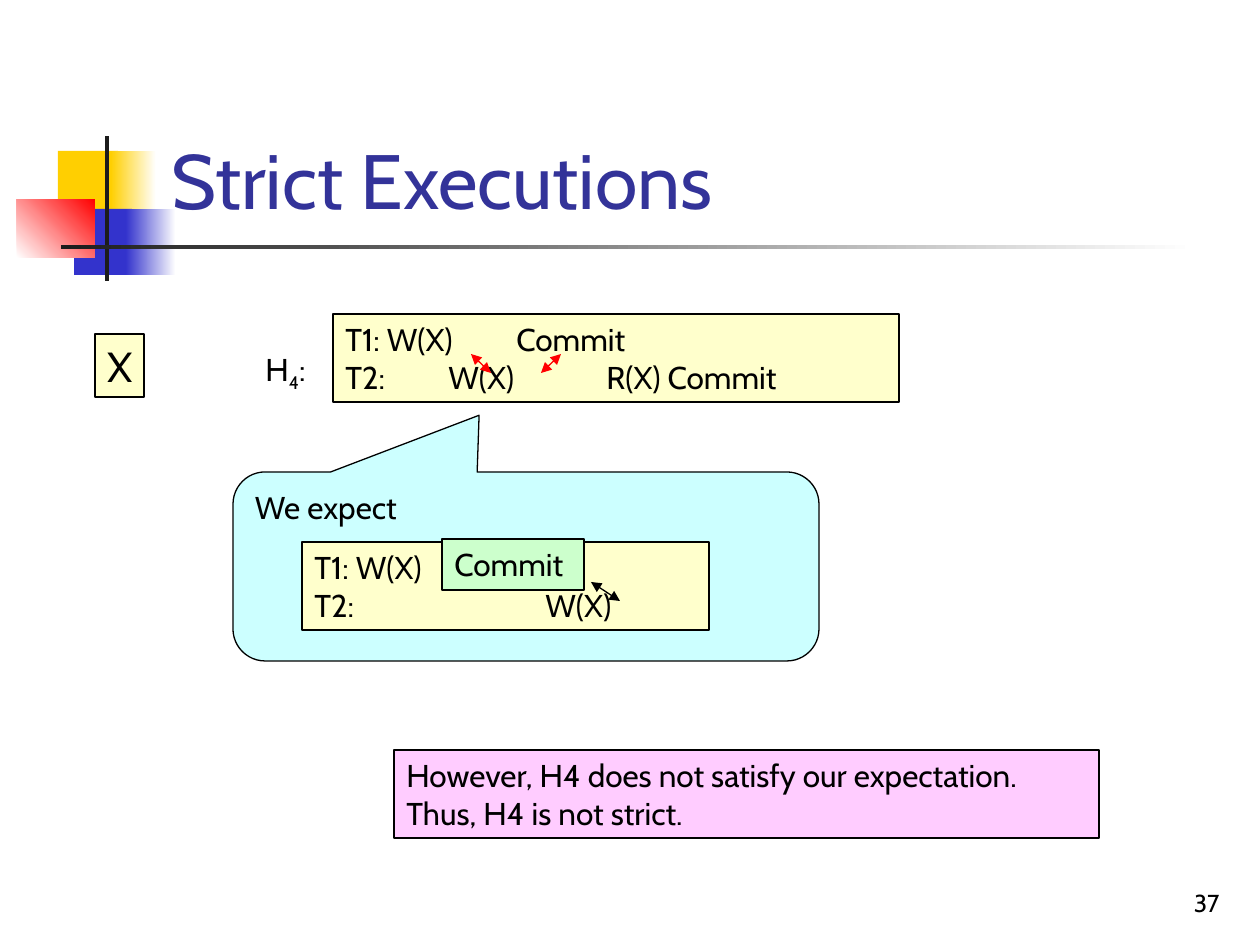
import pptx
import pptx.util
import pptx.dml.color
import pptx.enum.shapes
import pptx.enum.text
import pptx.oxml.ns
import lxml.etree

SHAPE = pptx.enum.shapes.MSO_SHAPE
ANCHOR = pptx.enum.text.MSO_ANCHOR
ALIGN = pptx.enum.text.PP_ALIGN
FONT = "Cabin"
BLACK, WHITE, RED = "000000", "FFFFFF", "FF0000"
GOLD, BLUE, DARK = "FFCF01", "3333CC", "1C1C1C"
CREAM, CYAN, GREEN, PINK = "FFFFCC", "CCFFFF", "CCFFCC", "FFCCFF"


def px(n):
    """Turn pixels (126 to the inch) into EMU."""
    return round(n * 914400 / 126)


def rgb(code):
    return pptx.dml.color.RGBColor.from_string(code)


def sub(parent, tag, **attrs):
    return lxml.etree.SubElement(parent, pptx.oxml.ns.qn(tag), **attrs)


def shape(slide, place, fill, line=None, kind=SHAPE.RECTANGLE):
    item = slide.shapes.add_shape(kind, *map(px, place))
    item.shadow.inherit = False
    item.fill.solid()
    item.fill.fore_color.rgb = rgb(fill)
    if line:
        item.line.color.rgb = rgb(line)
        item.line.width = pptx.util.Pt(0.75)
    else:
        item.line.fill.background()
    return item


def fade(slide, place, start, end, angle=0):
    item = shape(slide, place, start)
    item.fill.gradient()
    item.fill.gradient_angle = angle
    for stop, code, spot in zip(item.fill.gradient_stops, (start, end), (0, 1)):
        stop.color.rgb = rgb(code)
        stop.position = spot


def write(item, lines, size=18, color=BLACK, anchor=ANCHOR.TOP,
          align=ALIGN.LEFT, tabs=(), wrap=True):
    """Each line is a list of runs; a run is (text, baseline in percent)."""
    frame = item.text_frame
    frame.word_wrap = wrap
    frame.vertical_anchor = anchor
    for i, runs in enumerate(lines):
        para = frame.add_paragraph() if i else frame.paragraphs[0]
        para.alignment = align
        if tabs:
            stops = sub(para._p.get_or_add_pPr(), "a:tabLst")
            for spot in tabs[i]:
                sub(stops, "a:tab", pos=str(px(spot)), algn="l")
        for text, base in runs:
            run = para.add_run()
            run.text = text
            run.font.name = FONT
            run.font.size = pptx.util.Pt(size)
            run.font.color.rgb = rgb(color)
            if base:
                run._r.get_or_add_rPr().set("baseline", str(base * 1000))


def plain(*texts):
    return [[(text, 0)] for text in texts]


def label(slide, place, lines, **style):
    write(slide.shapes.add_textbox(*map(px, place)), lines, **style)


def box(slide, place, fill, lines, **style):
    write(shape(slide, place, fill, BLACK), lines, **style)


def arrow(slide, ends, color):
    link = slide.shapes.add_connector(
        pptx.enum.shapes.MSO_CONNECTOR.STRAIGHT, *map(px, ends))
    link.line.color.rgb = rgb(color)
    link.line.width = pptx.util.Pt(0.75)
    for tag in ("a:headEnd", "a:tailEnd"):
        sub(link.line._get_or_add_ln(), tag, type="triangle")
    sub(link._element.spPr, "a:effectLst")


def decor(slide):
    shape(slide, (58, 151, 60, 66), GOLD)
    fade(slide, (111, 151, 45, 66), GOLD, WHITE)
    shape(slide, (74, 209, 58, 66), BLUE)
    fade(slide, (126, 209, 50, 66), BLUE, WHITE)
    fade(slide, (17, 199, 78, 59), WHITE, RED, 45)
    shape(slide, (105, 136, 4, 145), DARK)
    fade(slide, (61, 245, 1134, 4), DARK, WHITE)


def callout(slide):
    bubble = shape(slide, (233, 472, 586, 189), CYAN, BLACK,
                   SHAPE.ROUNDED_RECTANGULAR_CALLOUT)
    for i, value in enumerate((-0.083, -0.795, 0.167)):
        bubble.adjustments[i] = round(value, 2)
    write(bubble, plain("We expect"))
    box(slide, (302, 542, 407, 88), CREAM,
        plain("T1: W(X)", "T2:\tW(X)"), tabs=((), (231,)))
    arrow(slide, (591, 582, 620, 601), BLACK)
    box(slide, (442, 539, 142, 51), GREEN, plain("Commit"))


def main():
    deck = pptx.Presentation()
    deck.slide_width, deck.slide_height = px(1260), px(945)
    slide = deck.slides.add_slide(deck.slide_layouts[6])

    # Frame: ornament, page number, title
    decor(slide)
    label(slide, (970, 861, 262, 63), plain("37"), size=14,
          anchor=ANCHOR.BOTTOM, align=ALIGN.RIGHT)
    label(slide, (159, 29, 1074, 202), plain("Strict Executions"), size=44,
          color="333399", anchor=ANCHOR.BOTTOM)

    # History H4 on item X
    box(slide, (333, 314, 566, 88), CREAM,
        plain("T1: W(X)\tCommit", "T2:\tW(X)\tR(X) Commit"),
        tabs=((171,), (103, 261)))
    box(slide, (95, 334, 49, 63), CREAM, plain("X"), size=24, wrap=False)
    label(slide, (253, 344, 69, 55), [[("H", 0), ("4", -25), (":", 0)]])

    # Expected order
    callout(slide)

    # Conflicts in H4
    arrow(slide, (471, 354, 491, 373), RED)
    arrow(slide, (561, 354, 541, 373), RED)

    # Conclusion
    box(slide, (394, 750, 705, 88), PINK,
        plain("However, H4 does not satisfy our expectation.",
              "Thus, H4 is not strict."))
    deck.save("out.pptx")


if __name__ == "__main__":
    main()
